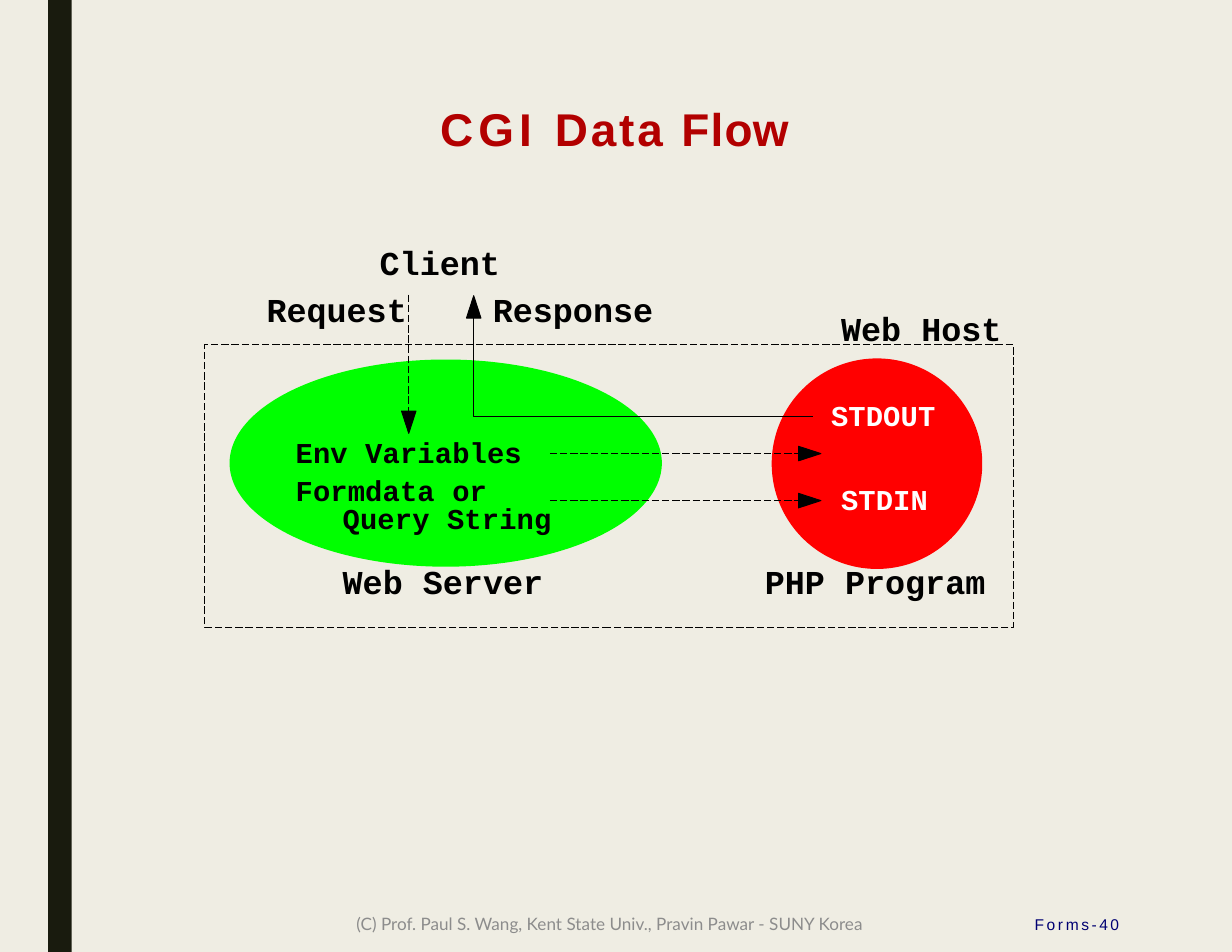
from dataclasses import dataclass

import lxml.etree
import pptx
import pptx.dml.color
import pptx.enum.dml
import pptx.enum.shapes
import pptx.enum.text
import pptx.oxml.ns
import pptx.util

Inches = pptx.util.Inches
SHAPE = pptx.enum.shapes.MSO_SHAPE
ALIGN = pptx.enum.text.PP_ALIGN
ANCHOR = pptx.enum.text.MSO_ANCHOR


@dataclass(frozen=True)
class Theme:
    paper: str = "EFEDE3"
    stripe: str = "191B0E"
    title: str = "B20000"
    ink: str = "000000"
    light: str = "FFFFFF"
    server: str = "00FF00"
    program: str = "FF0000"
    page: str = "000072"
    credit: str = "8C8C8C"
    sans: str = "Arial"
    mono: str = "Courier New"
    footer: str = "Lato"
    title_size: float = 29.5
    label_size: float = 21.5
    detail_size: float = 18.5
    page_size: float = 10
    credit_size: float = 11
    line_width: float = 0.6


THEME = Theme()


def rgb(code):
    return pptx.dml.color.RGBColor.from_string(code)


def add_text(slide, box, runs, font, size, color, bold=False,
             align=ALIGN.LEFT, anchor=ANCHOR.TOP, wrap=False):
    """Place one paragraph; runs are (words, letter spacing in points)."""
    holder = slide.shapes.add_textbox(*map(Inches, box))
    frame = holder.text_frame
    frame.word_wrap = wrap
    frame.vertical_anchor = anchor
    frame.margin_left = frame.margin_right = 0
    frame.margin_top = frame.margin_bottom = 0
    paragraph = frame.paragraphs[0]
    paragraph.alignment = align
    paragraph.font.name = font
    paragraph.font.size = pptx.util.Pt(size)
    paragraph.font.bold = bold
    paragraph.font.color.rgb = rgb(color)
    for words, spacing in runs:
        run = paragraph.add_run()
        run.text = words
        if spacing:
            run.font._element.set("spc", str(round(spacing * 100)))


def fill_shape(shape, color):
    shape.shadow.inherit = False
    shape.fill.solid()
    shape.fill.fore_color.rgb = rgb(color)
    shape.line.fill.background()


def style_line(line, dashed):
    line.color.rgb = rgb(THEME.ink)
    line.width = pptx.util.Pt(THEME.line_width)
    if dashed:
        line.dash_style = pptx.enum.dml.MSO_LINE.LONG_DASH


def add_path(slide, points, closed):
    corners = [(Inches(x), Inches(y)) for x, y in points]
    builder = slide.shapes.build_freeform(*corners[0], scale=1.0)
    builder.add_line_segments(corners[1:], close=closed)
    path = builder.convert_to_shape()
    path.shadow.inherit = False
    return path


def add_arrowhead(slide, tip, direction, length=0.2, half=0.065):
    """Place a solid head at tip, pointing along a unit direction."""
    (x, y), (dx, dy) = tip, direction
    back_x, back_y = x - dx * length, y - dy * length
    head = add_path(slide, [(x, y),
                            (back_x - dy * half, back_y + dx * half),
                            (back_x + dy * half, back_y - dx * half)], True)
    fill_shape(head, THEME.ink)
    style_line(head.line, False)


def add_dashed_arrow(slide, start, end, direction):
    arrow = slide.shapes.add_connector(
        pptx.enum.shapes.MSO_CONNECTOR.STRAIGHT, *map(Inches, start + end))
    style_line(arrow.line, True)
    lxml.etree.SubElement(arrow._element.spPr,
                          pptx.oxml.ns.qn("a:effectLst"))
    add_arrowhead(slide, end, direction)


def add_stripe(slide, box):
    stripe = slide.shapes.add_shape(SHAPE.RECTANGLE, *map(Inches, box))
    fill_shape(stripe, THEME.stripe)


def add_title(slide, box):
    words = [("CGI ", 3.3), ("Data ", 1.8), ("Fl", 0.8), ("o", 0.1), ("w", 1.1)]
    add_text(slide, box, words, THEME.sans, THEME.title_size, THEME.title, True)


def add_data_flow(slide, box):
    left, top, width, height = box

    def at(x, y):
        return left + x, top + y

    # Server and program
    for spot, size, color in [((5.06, 1.04), (1.88, 1.88), THEME.program),
                              ((0.22, 1.05), (3.86, 1.85), THEME.server)]:
        oval = slide.shapes.add_shape(
            SHAPE.OVAL, *map(Inches, at(*spot) + size))
        fill_shape(oval, color)

    # Request data passed on to the program
    for y in (1.89, 2.31):
        add_dashed_arrow(slide, at(3.08, y), at(5.5, y), (1, 0))

    # Response and request
    response = add_path(
        slide, [at(5.43, 1.56), at(2.4, 1.56), at(2.4, 0.48)], False)
    response.fill.background()
    style_line(response.line, False)
    add_arrowhead(slide, at(2.4, 0.48), (0, -1))
    add_dashed_arrow(slide, at(1.82, 0.47), at(1.82, 1.71), (0, 1))

    # Host border
    host_top = 0.92
    host = slide.shapes.add_shape(
        SHAPE.RECTANGLE,
        *map(Inches, at(0, host_top) + (width, height - host_top)))
    host.shadow.inherit = False
    host.fill.background()
    style_line(host.line, True)

    # Labels
    label = (THEME.label_size, THEME.ink, 0, 0.39)
    detail = (THEME.detail_size, THEME.ink, 0.1, 0.34)
    stream = (THEME.detail_size, THEME.light, 0.1, 0.34)
    for words, x, y, look in [
            ("Formdata or", 0.81, 2.06, detail),
            ("Query String", 1.23, 2.31, detail),
            ("Env Variables", 0.81, 1.72, detail),
            ("Request", 0.55, 0.42, label),
            ("Client", 1.56, 0, label),
            ("Response", 2.57, 0.42, label),
            ("Web Server", 1.23, 2.85, label),
            ("PHP Program", 5, 2.85, label),
            ("Web Host", 5.68, 0.59, label),
            ("STDIN", 5.68, 2.14, stream),
            ("STDOUT", 5.59, 1.39, stream)]:
        size, color, spacing, line_height = look
        # A monospaced letter is 0.6 em wide
        text_width = len(words) * (size * 0.6 + spacing) / 72
        add_text(slide, at(x, y) + (text_width, line_height),
                 [(words, spacing)], THEME.mono, size, color, True)


def add_footer(slide, box):
    left, top, width, height = box
    page_width = 1.44
    add_text(slide, (left + width - page_width, top, page_width, height),
             [("Forms-", 1.7), ("40", 1.4)], THEME.sans, THEME.page_size,
             THEME.page, align=ALIGN.RIGHT, anchor=ANCHOR.MIDDLE, wrap=True)
    credit = ("(C) Prof. Paul S. Wang, Kent State Univ., "
              "Pravin Pawar - SUNY Korea")
    add_text(slide, (left, top, 5.67, height), [(credit, 0)],
             THEME.footer, THEME.credit_size, THEME.credit,
             align=ALIGN.CENTER, anchor=ANCHOR.MIDDLE, wrap=True)


def main():
    deck = pptx.Presentation()
    deck.slide_width, deck.slide_height = Inches(11), Inches(8.5)
    slide = deck.slides.add_slide(deck.slide_layouts[6])
    slide.background.fill.solid()
    slide.background.fill.fore_color.rgb = rgb(THEME.paper)
    add_stripe(slide, (0.43, 0, 0.21, 8.5))
    add_title(slide, (3.93, 0.9, 5.97, 0.6))
    add_data_flow(slide, (1.83, 2.16, 7.22, 3.44))
    add_footer(slide, (2.61, 8, 7.38, 0.5))
    deck.save("out.pptx")


if __name__ == "__main__":
    main()
